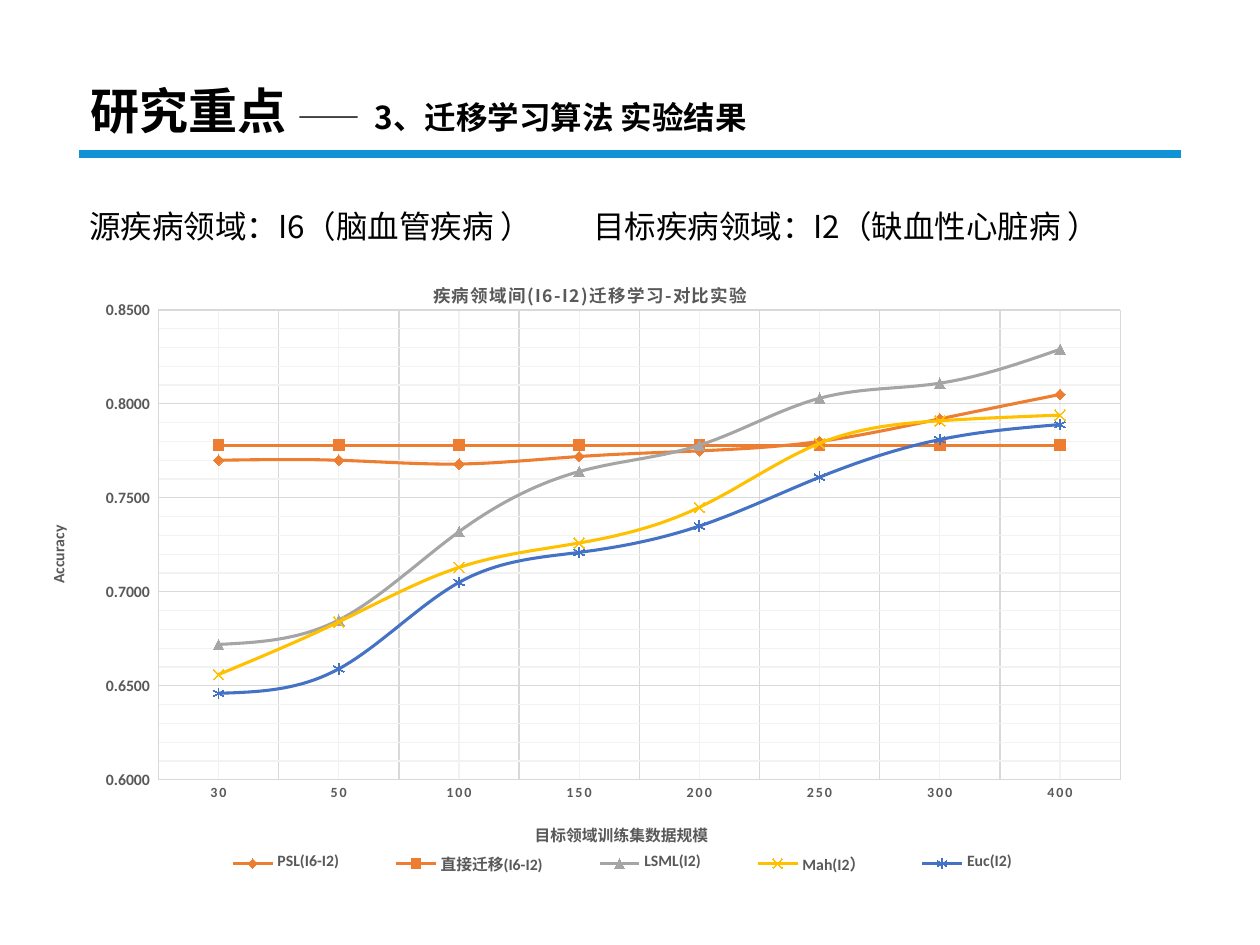
from copy import deepcopy

from lxml import etree
from pptx import Presentation
from pptx.chart.data import CategoryChartData
from pptx.dml.color import RGBColor
from pptx.enum import chart as charts, shapes, text
from pptx.oxml.ns import qn
from pptx.util import Inches, Pt

CJK, LATIN = "Noto Sans CJK SC", "Calibri"
BLACK, GREY, GRID, PALE_GRID = "000000", "595959", "D9D9D9", "F2F2F2"
MARKER = charts.XL_MARKER_STYLE

SIZES = [30, 50, 100, 150, 200, 250, 300, 400]
SERIES = [
    ("PSL(I6-I2)", "ED7D31", MARKER.DIAMOND,
     [0.77, 0.77, 0.768, 0.772, 0.775, 0.78, 0.792, 0.805]),
    ("直接迁移(I6-I2)", "ED7D31", MARKER.SQUARE, [0.778] * len(SIZES)),
    ("LSML(I2)", "A5A5A5", MARKER.TRIANGLE,
     [0.672, 0.685, 0.732, 0.764, 0.778, 0.803, 0.811, 0.829]),
    ("Mah(I2）", "FFC000", MARKER.X,
     [0.656, 0.684, 0.713, 0.726, 0.745, 0.779, 0.791, 0.794]),
    ("Euc(I2)", "4472C4", MARKER.STAR,
     [0.646, 0.659, 0.705, 0.721, 0.735, 0.761, 0.781, 0.789]),
]


def color(value):
    return RGBColor.from_string(value)


def set_font(font, size, value, bold, name=LATIN):
    font.size, font.bold, font.name = Pt(size), bold, name
    font.color.rgb = color(value)


def set_line(line, value, width):
    line.color.rgb = color(value)
    line.width = Pt(width)


def add_text(page, box, spans, bold=False, spacing=1.0):
    """Add one paragraph made of (text, size, latin font) spans."""
    shape = page.shapes.add_textbox(*map(Inches, box))
    frame = shape.text_frame
    frame.word_wrap = True
    para = frame.paragraphs[0]
    para.line_spacing = spacing
    for words, size, name in spans:
        span = para.add_run()
        span.text = words
        set_font(span.font, size, BLACK, bold, name)
        properties = span._r.get_or_add_rPr()
        etree.SubElement(properties, qn("a:ea")).set("typeface", CJK)
    return shape


def add_heading(page, box):
    shape = add_text(page, box, [("研究重点 ", 28, CJK),
                                 ("——  3、迁移学习算法 实验结果", 18, CJK)],
                     bold=True, spacing=0.9)
    shape.text_frame.vertical_anchor = text.MSO_ANCHOR.MIDDLE


def add_rule(page, left, right, top):
    rule = page.shapes.add_connector(
        shapes.MSO_CONNECTOR.STRAIGHT, *map(Inches, (left, top, right, top)))
    set_line(rule.line, "0F93D5", 4.5)
    etree.SubElement(rule._element.spPr, qn("a:effectLst"))


def add_domains(page, box):
    shape = add_text(page, box, [
        ("源疾病领域：I6（", 18, CJK), ("脑血管疾病 ", 18, LATIN),
        ("）\t目标疾病领域：I2（", 18, CJK), ("缺血性心脏病 ", 18, LATIN),
        ("）", 18, CJK)], spacing=1.5)
    shape.text_frame.paragraphs[0].space_after = Pt(6)


def place(element, index, inner=False, **fractions):
    """Give a chart part a manual layout, inserted as its child at index."""
    for old in element.findall(qn("c:layout")):
        element.remove(old)
    layout = etree.Element(qn("c:layout"))
    element.insert(index, layout)
    manual = etree.SubElement(layout, qn("c:manualLayout"))
    values = {"layoutTarget": "inner"} if inner else {}
    values.update(xMode="edge", yMode="edge", **fractions)
    for tag, value in values.items():
        etree.SubElement(manual, qn("c:" + tag)).set("val", str(value))


def set_title(title, words, size, x, y, name=LATIN, tracking=0):
    frame = title.text_frame
    frame.text = words
    para = frame.paragraphs[0]
    set_font(para.font, size, GREY, True, name)
    span = para.runs[0]
    set_font(span.font, size, GREY, True, name)
    span._r.get_or_add_rPr().set("spc", str(tracking))
    place(title._element, 1, x=x, y=y)
    return frame


def style_axis(axis, size):
    axis.has_major_gridlines = axis.has_minor_gridlines = True
    axis.major_tick_mark = axis.minor_tick_mark = charts.XL_TICK_MARK.NONE
    major = axis.major_gridlines.format.line
    set_line(major, PALE_GRID, 0.75)
    pale_style = axis._element.find(qn("c:majorGridlines"))[0]
    axis._element.find(qn("c:minorGridlines")).append(deepcopy(pale_style))
    set_line(major, GRID, 0.75)
    set_line(axis.format.line, GRID, 0.75)
    set_font(axis.tick_labels.font, size, GREY, True)


def add_accuracy_chart(page, box):
    data = CategoryChartData(number_format="0.000")
    data.categories = [str(size) for size in SIZES]
    for name, _, _, values in SERIES:
        data.add_series(name, values)
    chart = page.shapes.add_chart(
        charts.XL_CHART_TYPE.LINE_MARKERS, *map(Inches, box), data).chart
    set_font(chart.font, 10, BLACK, False)
    chart.has_title = True
    set_title(chart.chart_title, "疾病领域间(I6-I2)迁移学习-对比实验",
              10, 0.35, 0.04, CJK, tracking=100)

    sizes, accuracy = chart.category_axis, chart.value_axis
    style_axis(sizes, 8)
    sizes._element.xpath("c:txPr//a:defRPr")[0].set("spc", "100")
    set_title(sizes.axis_title, "目标领域训练集数据规模", 9, 0.44, 0.88)
    style_axis(accuracy, 9)
    accuracy.minimum_scale, accuracy.maximum_scale = 0.6, 0.85
    accuracy.major_unit, accuracy.minor_unit = 0.05, 0.01
    accuracy.tick_labels.number_format = r"0.0000_);[Red]\(0.0000\)"
    accuracy.tick_labels.number_format_is_linked = False
    frame = set_title(accuracy.axis_title, "Accuracy", 9, 0.01, 0.42)
    frame._txBody.bodyPr.set("rot", "-5400000")
    frame._txBody.bodyPr.set("vert", "horz")

    plot = chart.plots[0]
    plot.vary_by_categories = False
    for series, (_, value, marker, _) in zip(plot.series, SERIES):
        series.smooth = True
        set_line(series.format.line, value, 1.75)
        series.marker.style, series.marker.size = marker, 6
        set_line(series.marker.format.line, value, 0.75)
        fill = series.marker.format.fill
        if marker in (MARKER.X, MARKER.STAR):
            fill.background()
        else:
            fill.solid()
            fill.fore_color.rgb = color(value)

    chart.has_legend = True
    legend = chart.legend
    legend.position = charts.XL_LEGEND_POSITION.TOP
    legend.include_in_layout = False
    set_font(legend.font, 9, GREY, True)
    place(legend._element, 1, x=0.13, y=0.92, w=0.78, h=0.06)
    plot_area = chart._chartSpace.chart.plotArea
    place(plot_area, 0, inner=True, x=0.11, y=0.09, w=0.85, h=0.73)


def main():
    deck = Presentation()
    deck.slide_width, deck.slide_height = Inches(10), Inches(7.5)
    page = deck.slides.add_slide(deck.slide_layouts[6])
    add_rule(page, 0.63, 9.37, 1.22)
    add_domains(page, (0.61, 1.44, 8.97, 0.56))
    add_heading(page, (0.62, 0.6, 8.62, 0.61))
    add_accuracy_chart(page, (0.27, 2, 8.98, 5.11))
    deck.save("out.pptx")


if __name__ == "__main__":
    main()
